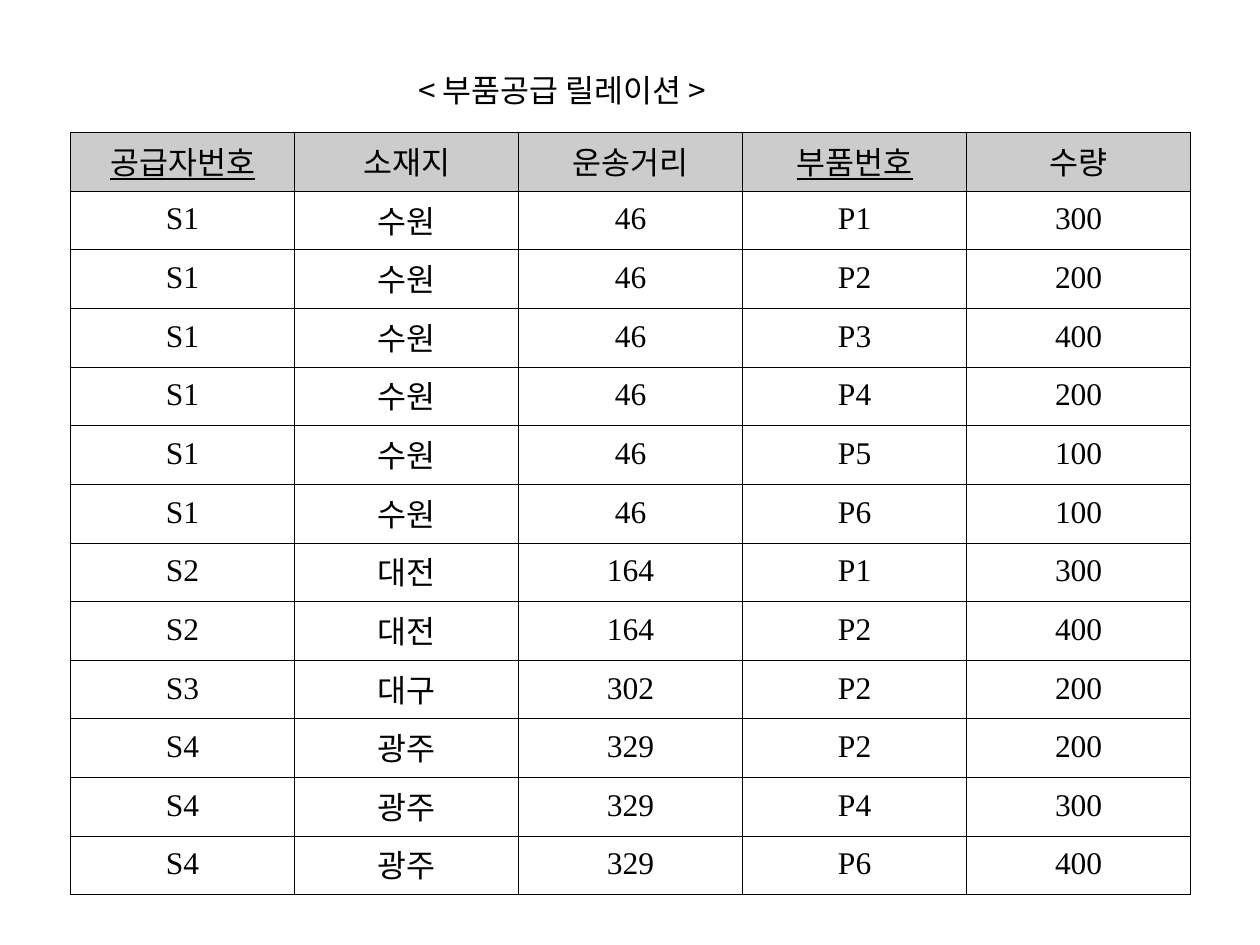
from lxml import etree
from pptx import Presentation
from pptx import util as u
from pptx.dml.color import RGBColor
from pptx.enum import text
from pptx.oxml.ns import qn

TITLE = "< 부품공급 릴레이션 >"
HEAD = ["공급자번호", "소재지", "운송거리", "부품번호", "수량"]
KEYS = {"공급자번호", "부품번호"}
TOWNS = {"S1": ("수원", "46"), "S2": ("대전", "164"),
         "S3": ("대구", "302"), "S4": ("광주", "329")}
PARTS = [
    ("S1", "P1", "300"), ("S1", "P2", "200"), ("S1", "P3", "400"),
    ("S1", "P4", "200"), ("S1", "P5", "100"), ("S1", "P6", "100"),
    ("S2", "P1", "300"), ("S2", "P2", "400"),
    ("S3", "P2", "200"),
    ("S4", "P2", "200"), ("S4", "P4", "300"), ("S4", "P6", "400"),
]
ROWS = [HEAD] + [[s, *TOWNS[s], part, count] for s, part, count in PARTS]
HANGUL = "Noto Sans CJK KR"
LATIN = "Times New Roman"
INK, GREY, WHITE = "000000", "CCCCCC", "FFFFFF"


def color(code):
    return RGBColor.from_string(code)


def write(para, words, face):
    run = para.add_run()
    run.text = words
    font = run.font
    font.size = u.Pt(18)
    font.bold = False
    font.color.rgb = color(INK)
    font.name = face
    east = etree.SubElement(font._element, qn("a:ea"))
    east.set("typeface", HANGUL)
    return font


def border(cell):
    props = cell._tc.get_or_add_tcPr()
    for side in ("lnL", "lnR", "lnT", "lnB"):
        line = etree.SubElement(props, qn("a:" + side), w=str(u.Pt(0.28)))
        fill = etree.SubElement(line, qn("a:solidFill"))
        etree.SubElement(fill, qn("a:srgbClr"), val=INK)


def fill_cell(cell, words, top):
    border(cell)
    cell.fill.solid()
    cell.fill.fore_color.rgb = color(GREY if top else WHITE)
    cell.vertical_anchor = text.MSO_ANCHOR.MIDDLE
    para = cell.text_frame.paragraphs[0]
    para.alignment = text.PP_ALIGN.CENTER
    para.line_spacing = 0.93
    font = write(para, words, LATIN)
    if top and words in KEYS:
        font.underline = True


def add_title(slide):
    title = slide.shapes.title
    title.left, title.top = u.Inches(3.22), u.Inches(0.51)
    title.width, title.height = u.Inches(2.8), u.Inches(0.4)
    frame = title.text_frame
    frame.word_wrap = True
    frame.auto_size = text.MSO_AUTO_SIZE.NONE
    frame.vertical_anchor = text.MSO_ANCHOR.TOP
    para = frame.paragraphs[0]
    para.alignment = text.PP_ALIGN.LEFT
    write(para, TITLE, HANGUL)


def add_grid(slide):
    wide, high = u.Inches(8.89), u.Inches(6.05)
    grid = slide.shapes.add_table(
        len(ROWS), len(HEAD), u.Inches(0.56), u.Inches(1.05), wide, high).table
    grid.horz_banding = False
    for col in grid.columns:
        col.width = wide // len(HEAD)
    for r, row in enumerate(ROWS):
        grid.rows[r].height = high // len(ROWS)
        for c, words in enumerate(row):
            fill_cell(grid.cell(r, c), words, r == 0)


def main():
    deck = Presentation()
    deck.slide_width, deck.slide_height = u.Inches(10), u.Inches(7.5)
    slide = deck.slides.add_slide(deck.slide_layouts[5])
    add_title(slide)
    add_grid(slide)
    deck.save("out.pptx")


if __name__ == "__main__":
    main()
